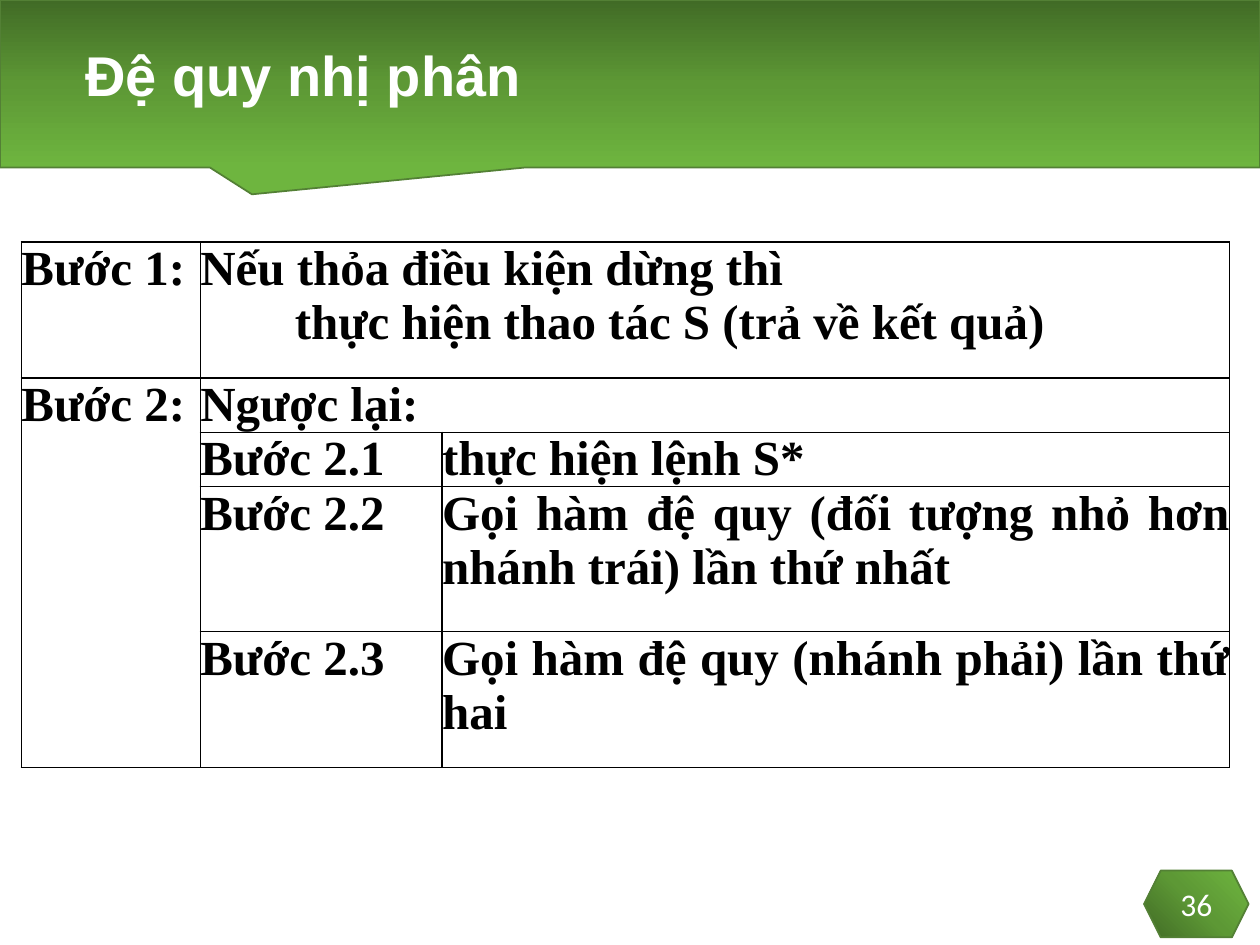
from lxml import etree
from pptx import Presentation
from pptx.dml.color import RGBColor as RGB
from pptx.enum.shapes import MSO_SHAPE as Shape
from pptx.enum.text import MSO_ANCHOR as Anchor, PP_ALIGN as Align
from pptx.oxml import parse_xml
from pptx.oxml.ns import qn
from pptx.util import Inches, Pt

NS = 'xmlns:a="http://schemas.openxmlformats.org/drawingml/2006/main"'
COLORS = {
    "dark": "416B26", "mid": "5D9835", "light": "6EB53F",
    "edge": "538035", "white": "FFFFFF", "black": "000000",
}
LINEAR = '<a:lin ang="5400000" scaled="0"/>'
CORNER = '<a:path path="circle"><a:fillToRect t="100000" r="100000"/></a:path>'


class Deck:
    def __init__(self):
        self.prs = Presentation()
        self.prs.slide_width, self.prs.slide_height = Inches(10), Inches(7.5)
        self.slide = self.prs.slides.add_slide(self.prs.slide_layouts[6])

    def style(self, para, size, font, color, bold=False):
        for run in para.runs:
            run.font.size, run.font.name, run.font.bold = Pt(size), font, bold
            run.font.color.rgb = RGB.from_string(COLORS[color])

    def shape(self, kind, box, shade, adj=()):
        """Add a green shape with a three-stop gradient."""
        item = self.slide.shapes.add_shape(kind, *map(Inches, box))
        item.shadow.inherit = False
        for i, value in enumerate(adj):
            item.adjustments[i] = value
        stops = "".join(
            f'<a:gs pos="{pos}"><a:srgbClr val="{COLORS[name]}"/></a:gs>'
            for pos, name in ((0, "dark"), (50000, "mid"), (100000, "light")))
        item.fill.background()
        blank = item.element.spPr.find(qn("a:noFill"))
        blank.getparent().replace(blank, parse_xml(
            f'<a:gradFill {NS} rotWithShape="1"><a:gsLst>{stops}</a:gsLst>'
            f'{shade}</a:gradFill>'))
        item.line.color.rgb = RGB.from_string(COLORS["edge"])
        item.line.width = Pt(1)
        return item

    def title(self, text, box):
        frame = self.slide.shapes.add_textbox(*map(Inches, box)).text_frame
        frame.word_wrap, frame.vertical_anchor = True, Anchor.MIDDLE
        frame.text = text
        frame.paragraphs[0].line_spacing = 0.9
        self.style(frame.paragraphs[0], 32, "Arial", "white", True)

    def badge(self, text, box):
        frame = self.shape(Shape.HEXAGON, box, CORNER).text_frame
        frame.vertical_anchor = Anchor.MIDDLE
        frame.text = text
        frame.paragraphs[0].alignment = Align.CENTER
        self.style(frame.paragraphs[0], 18, "Calibri", "white")

    def border(self, cell):
        cell.fill.background()
        props = cell._tc.get_or_add_tcPr()
        for i, side in enumerate("LRTB"):
            props.insert(i, parse_xml(
                f'<a:ln{side} {NS} w="12700"><a:solidFill><a:srgbClr '
                f'val="{COLORS["black"]}"/></a:solidFill></a:ln{side}>'))

    def label(self, cell, text):
        cell.text = text
        for para in cell.text_frame.paragraphs:
            para.alignment = Align.JUSTIFY
            if para.text.startswith("\t"):
                tabs = etree.SubElement(para._p.get_or_add_pPr(), qn("a:tabLst"))
                etree.SubElement(tabs, qn("a:tab"),
                                 pos=str(Inches(0.75)), algn="l")
            self.style(para, 28, "Times New Roman", "black", True)

    def table(self, box, cols, rows, cells, spans):
        grid = self.slide.shapes.add_table(
            len(rows), len(cols), *map(Inches, box)).table
        grid.first_row = grid.horz_banding = False
        for col, width in zip(grid.columns, cols):
            col.width = Inches(width)
        for row, height in zip(grid.rows, rows):
            row.height = Inches(height)
        for cell in grid.iter_cells():
            cell.margin_left = cell.margin_right = 0
            cell.margin_top = cell.margin_bottom = 0
            self.border(cell)
        for start, end in spans:
            grid.cell(*start).merge(grid.cell(*end))
        for r, line in enumerate(cells):
            for c, text in enumerate(line):
                if text:
                    self.label(grid.cell(r, c), text)


def main():
    deck = Deck()

    # Header banner and page number
    deck.shape(Shape.RECTANGULAR_CALLOUT, (0, 0, 10, 1.33), LINEAR,
               (-0.3, 0.66))
    deck.badge("36", (9.08, 6.91, 0.83, 0.53))

    # Steps of the algorithm
    cells = [
        ("Bước 1:", "Nếu thỏa điều kiện dừng thì\n"
                    "\tthực hiện thao tác S (trả về kết quả)", None),
        ("Bước 2:", "Ngược lại:", None),
        (None, "Bước 2.1", "thực hiện lệnh S*"),
        (None, "Bước 2.2",
         "Gọi hàm đệ quy (đối tượng nhỏ hơn nhánh trái) lần thứ nhất"),
        (None, "Bước 2.3", "Gọi hàm đệ quy (nhánh phải) lần thứ hai"),
    ]
    spans = [((0, 1), (0, 2)), ((1, 0), (4, 0)), ((1, 1), (1, 2))]
    deck.table((0.17, 1.92, 9.58, 4.25), (1.42, 1.92, 6.25),
               (1.08, 0.41, 0.41, 1.15, 1.08), cells, spans)

    # Title
    deck.title("Đệ quy nhị phân", (0.58, 0.08, 8.83, 1.08))

    deck.prs.save("out.pptx")


if __name__ == "__main__":
    main()
